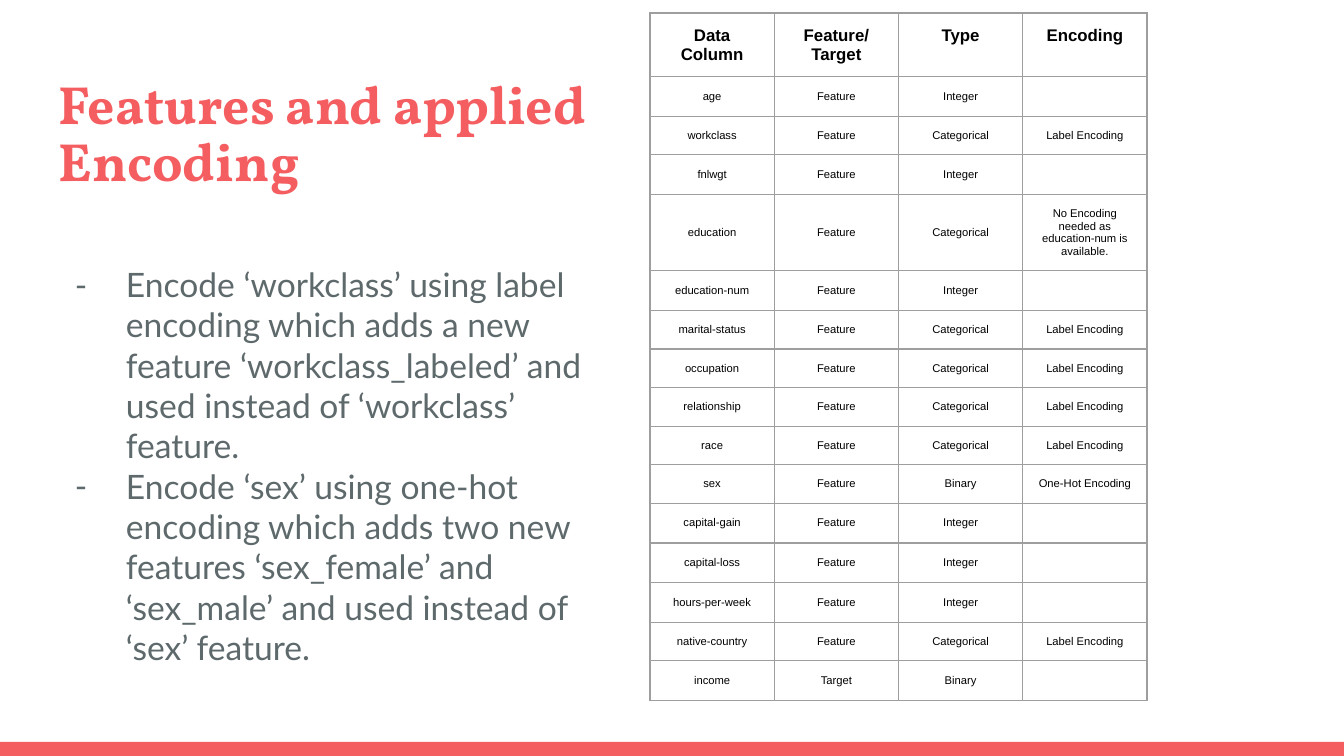
"""Build a slide listing data set features and the encoding applied to each."""
from lxml.etree import SubElement
from pptx import Presentation
from pptx.dml.color import RGBColor
from pptx.enum.shapes import MSO_SHAPE
from pptx.enum.text import MSO_ANCHOR, MSO_AUTO_SIZE, PP_ALIGN
from pptx.oxml import parse_xml
from pptx.oxml.ns import nsdecls, qn
from pptx.util import Pt

PX = 914400 / 134.4
COLORS = {"accent": "F55E61", "body": "5E696C", "table": "000000", "border": "9E9E9E"}
HEADER = ["Data Column", "Feature/Target", "Type", "Encoding"]
FEATURES = [
    ("age", "Integer", ""),
    ("workclass", "Categorical", "Label Encoding"),
    ("fnlwgt", "Integer", ""),
    ("education", "Categorical", "No Encoding needed as education-num is available."),
    ("education-num", "Integer", ""),
    ("marital-status", "Categorical", "Label Encoding"),
    ("occupation", "Categorical", "Label Encoding"),
    ("relationship", "Categorical", "Label Encoding"),
    ("race", "Categorical", "Label Encoding"),
    ("sex", "Binary", "One-Hot Encoding"),
    ("capital-gain", "Integer", ""),
    ("capital-loss", "Integer", ""),
    ("hours-per-week", "Integer", ""),
    ("native-country", "Categorical", "Label Encoding"),
    ("income", "Binary", ""),
]
STEPS = [
    "Encode ‘workclass’ using label encoding which adds a new feature "
    "‘workclass_labeled’ and used instead of ‘workclass’ feature.",
    "Encode ‘sex’ using one-hot encoding which adds two new features "
    "‘sex_female’ and ‘sex_male’ and used instead of ‘sex’ feature.",
]


def px(length):
    return round(length * PX)


def format_runs(paragraph, font_name, size, color, bold=False):
    for run in paragraph.runs:
        run.font.name = font_name
        run.font.size = Pt(size)
        run.font.bold = bold
        run.font.color.rgb = RGBColor.from_string(COLORS[color])


presentation = Presentation()
presentation.slide_width, presentation.slide_height = px(1344), px(756)
slide = presentation.slides.add_slide(presentation.slide_layouts[1])

bar = slide.shapes.add_shape(MSO_SHAPE.RECTANGLE, 0, px(742), px(1344), px(14))
bar.shadow.inherit = False
bar.fill.solid()
bar.fill.fore_color.rgb = RGBColor.from_string(COLORS["accent"])
bar.line.fill.background()

title, body = slide.shapes.title, slide.placeholders[1]
for placeholder, top, height in ((title, 58, 92), (body, 251, 434)):
    placeholder.left, placeholder.top = px(46), px(top)
    placeholder.width, placeholder.height = px(586), px(height)
    frame = placeholder.text_frame
    frame.margin_left = frame.margin_right = px(13)
    frame.margin_top = frame.margin_bottom = px(13)
    frame.vertical_anchor = MSO_ANCHOR.TOP
    frame.word_wrap = True
    frame.auto_size = MSO_AUTO_SIZE.NONE

title.text_frame.text = "Features and applied Encoding"
title.text_frame.margin_top = px(22)
heading = title.text_frame.paragraphs[0]
heading.alignment = PP_ALIGN.LEFT
heading.line_spacing = 0.87
format_runs(heading, "Vollkorn", 28.8, "accent", bold=True)

body.text_frame.text = "\n".join(STEPS)
for paragraph in body.text_frame.paragraphs:
    paragraph.alignment = PP_ALIGN.LEFT
    paragraph.space_before = Pt(0)
    format_runs(paragraph, "Lato", 18, "body")
    properties = paragraph._p.get_or_add_pPr()
    properties.set("marL", str(px(67)))
    properties.set("indent", str(px(-51)))
    bullet_color = SubElement(properties, qn("a:buClr"))
    SubElement(bullet_color, qn("a:srgbClr"), val=COLORS["body"])
    SubElement(properties, qn("a:buFont"), typeface="Lato")
    SubElement(properties, qn("a:buChar"), char="-")

rows = [HEADER]
for name, kind, encoding in FEATURES:
    rows.append([name, "Target" if name == "income" else "Feature", kind, encoding])

table = slide.shapes.add_table(
    len(rows), len(HEADER), px(650), px(13), px(497), px(36 * len(rows))
).table
table.first_row = table.horz_banding = False
for row_index, values in enumerate(rows):
    is_header = row_index == 0
    size = 9 if is_header else 6
    for column_index, value in enumerate(values):
        cell = table.cell(row_index, column_index)
        cell.text_frame.text = value
        cell.margin_left = cell.margin_right = px(13)
        cell.margin_top = cell.margin_bottom = px(13)
        cell.vertical_anchor = MSO_ANCHOR.TOP if is_header else MSO_ANCHOR.MIDDLE
        cell.fill.background()
        paragraph = cell.text_frame.paragraphs[0]
        paragraph.alignment = PP_ALIGN.CENTER
        format_runs(paragraph, "Arial", size, "table", bold=is_header)
        SubElement(paragraph._p, qn("a:endParaRPr"), sz=str(size * 100))
        cell_properties = cell._tc.get_or_add_tcPr()
        for position, side in enumerate(("lnL", "lnR", "lnT", "lnB")):
            border = parse_xml(
                f'<a:{side} {nsdecls("a")} w="{Pt(0.75)}"><a:solidFill>'
                f'<a:srgbClr val="{COLORS["border"]}"/></a:solidFill></a:{side}>'
            )
            cell_properties.insert(position, border)

presentation.save("out.pptx")
